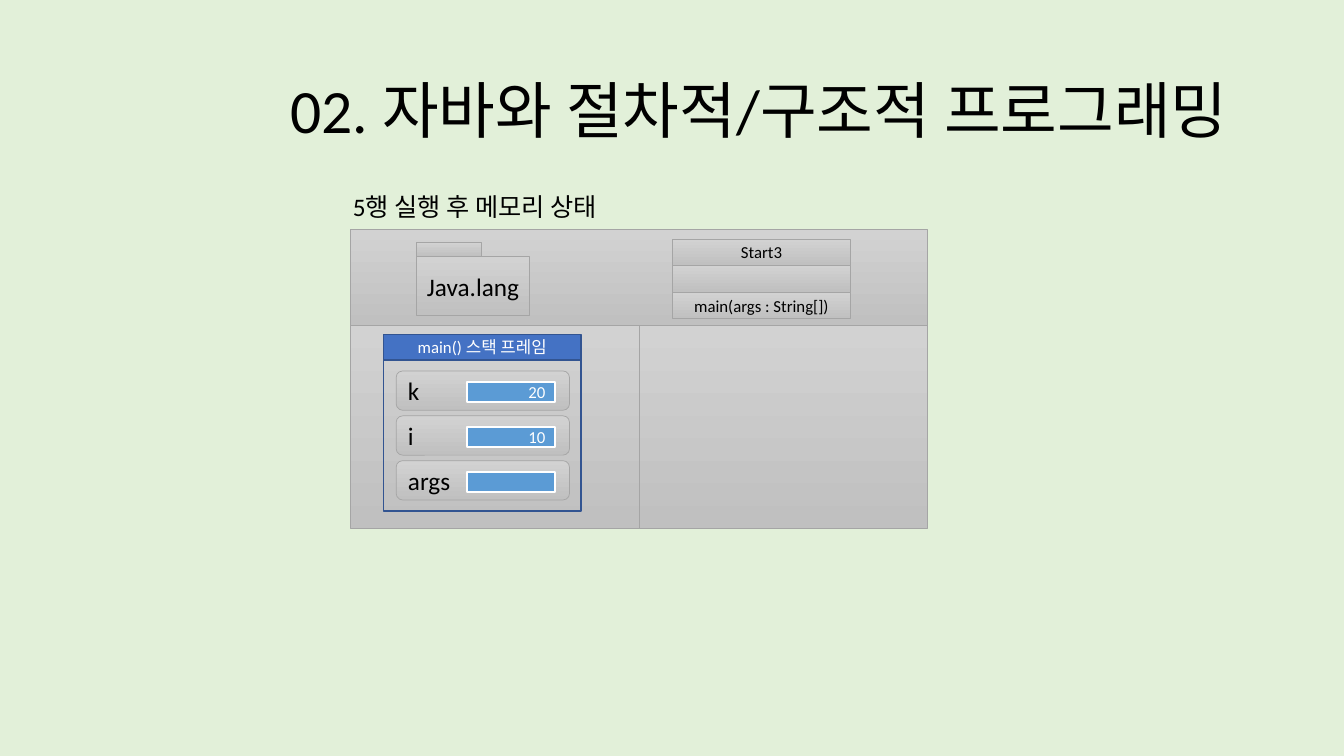
from dataclasses import dataclass

from pptx import Presentation
from pptx import util as u
from pptx.dml.color import RGBColor
from pptx.enum import shapes, text


@dataclass(frozen=True)
class Theme:
    font: str = "Calibri"
    title: int = 44
    body: int = 18
    small: int = 12
    background: str = "E2F0D9"
    ink: str = "000000"
    white: str = "FFFFFF"
    gray: tuple = ("D2D2D2", "C0C0C0")
    gray_line: str = "A5A5A5"
    frame: str = "4472C4"
    frame_line: str = "325491"
    value: str = "5B9BD5"


@dataclass(frozen=True)
class Box:
    x: float
    y: float
    w: float
    h: float

    def inner(self, x, y, w, h):
        return Box(self.x + x, self.y + y, w, h)

    def emu(self):
        return [u.Inches(n * CELL) for n in (self.x, self.y, self.w, self.h)]


THEME = Theme()
CELL = 0.1
SLIDE = Box(0, 0, 133.33, 75)
LEFT, CENTER, RIGHT = text.PP_ALIGN.LEFT, text.PP_ALIGN.CENTER, text.PP_ALIGN.RIGHT
RECT = shapes.MSO_SHAPE.RECTANGLE
ROUNDED = shapes.MSO_SHAPE.ROUNDED_RECTANGLE


def rgb(color):
    return RGBColor.from_string(color)


def write(sp, label, size, color=THEME.ink, align=LEFT):
    tf = sp.text_frame
    tf.word_wrap = True
    tf.vertical_anchor = text.MSO_ANCHOR.MIDDLE
    p = tf.paragraphs[0]
    p.text = label
    p.alignment = align
    p.font.name = THEME.font
    p.font.size = u.Pt(size)
    p.font.color.rgb = rgb(color)
    return p


def add_box(parent, box, kind=RECT, fill=None, line=THEME.gray_line, width=0.5):
    sp = parent.add_shape(kind, *box.emu())
    sp.shadow.inherit = False
    if fill is None:
        sp.fill.background()
    elif isinstance(fill, tuple):
        sp.fill.gradient()
        sp.fill.gradient_angle = 270
        for stop, color in zip(sp.fill.gradient_stops, fill):
            stop.color.rgb = rgb(color)
    else:
        sp.fill.solid()
        sp.fill.fore_color.rgb = rgb(fill)
    sp.line.color.rgb = rgb(line)
    sp.line.width = u.Pt(width)
    return sp


def add_gray(parent, box, kind=RECT):
    return add_box(parent, box, kind, THEME.gray)


def add_title(s, box, label):
    sp = s.shapes.title
    sp.left, sp.top, sp.width, sp.height = box.emu()
    p = write(sp, label, THEME.title)
    p.line_spacing = 0.9
    sp.text_frame.auto_size = text.MSO_AUTO_SIZE.NONE


def add_caption(s, box, label):
    sp = s.shapes.add_textbox(*box.emu())
    write(sp, label, THEME.body)
    sp.text_frame.margin_left = u.Inches(0.6)


def add_package(s, box, name):
    group = s.shapes.add_group_shape().shapes
    add_gray(group, box.inner(0, 0, 6.5, 1.45))
    body = add_gray(group, box.inner(0, 1.45, box.w, box.h - 1.45))
    write(body, name, THEME.body, align=CENTER)


def add_class(s, box, rows):
    group = s.shapes.add_group_shape().shapes
    height = box.h / len(rows)
    for i, label in enumerate(rows):
        sp = add_gray(group, box.inner(0, i * height, box.w, height))
        if label:
            write(sp, label, THEME.small, align=CENTER)


def add_variable(s, box, name, value):
    write(add_gray(s.shapes, box, ROUNDED), name, THEME.body)
    cell = add_box(s.shapes, box.inner(7, 1.1, 8.8, 2), RECT, THEME.value, THEME.white, 1.5)
    if value:
        write(cell, value, THEME.small, THEME.white, RIGHT)


def add_stack_frame(s, box, name, variables):
    head = 2.5
    header = add_box(s.shapes, box.inner(0, 0, box.w, head), RECT,
                     THEME.frame, THEME.frame_line, 1)
    write(header, name, THEME.small, THEME.white, CENTER)
    add_box(s.shapes, box.inner(0, head, box.w, box.h - head),
            line=THEME.frame_line, width=1)
    for i, (variable, value) in enumerate(variables):
        add_variable(s, box.inner(1.25, head + 1.1 + i * 4.45, 17.2, 3.9), variable, value)


def add_memory(s, box):
    static_height = 9.5
    half = box.w / 2
    add_gray(s.shapes, box.inner(0, 0, box.w, static_height))
    for i in range(2):
        add_gray(s.shapes, box.inner(i * half, static_height, half, box.h - static_height))
    add_package(s, box.inner(6.5, 1.2, 11.25, 7.3), "Java.lang")
    add_class(s, box.inner(31.9, 0.9, 17.7, 7.9), ["Start3", "", "main(args : String[])"])
    add_stack_frame(s, box.inner(3.25, 10.4, 19.6, 17.5), "main() 스택 프레임",
                    [("k", "20"), ("i", "10"), ("args", "")])


def main():
    prs = Presentation()
    prs.slide_width, prs.slide_height = SLIDE.emu()[2:]
    s = prs.slides.add_slide(prs.slide_layouts[5])
    s.background.fill.solid()
    s.background.fill.fore_color.rgb = rgb(THEME.background)
    add_title(s, SLIDE.inner(27.8, 4, 102.9, 14.5), "02. 자바와 절차적/구조적 프로그래밍")
    add_caption(s, SLIDE.inner(29, 18.5, 87, 4), "5행 실행 후 메모리 상태")
    add_memory(s, SLIDE.inner(34.8, 22.8, 57.2, 29.6))
    prs.save("out.pptx")


if __name__ == "__main__":
    main()
